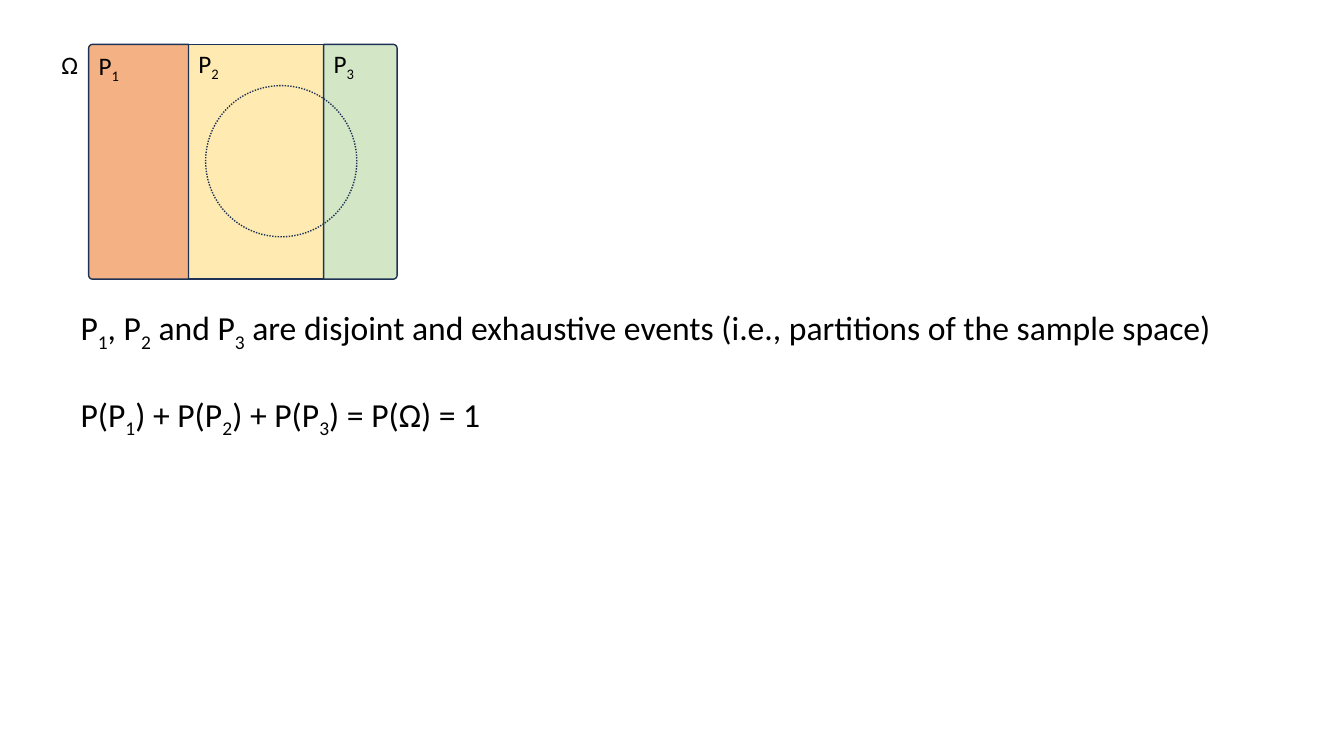
from dataclasses import dataclass
from math import cos, pi, sin
from typing import Optional

from lxml.etree import SubElement
from pptx import Presentation
from pptx.dml.color import RGBColor
from pptx.enum.dml import MSO_LINE_DASH_STYLE as Dash
from pptx.enum.shapes import MSO_SHAPE as ShapeKind
from pptx.enum.text import MSO_AUTO_SIZE as AutoSize
from pptx.oxml.ns import qn
from pptx.util import Inches, Pt

WIDTH, HEIGHT = Inches(13.33), Inches(7.5)
BLACK = RGBColor(0x00, 0x00, 0x00)
NAVY = RGBColor(0x1E, 0x32, 0x56)
ORANGE = RGBColor(0xF4, 0xB1, 0x83)
YELLOW = RGBColor(0xFF, 0xD9, 0x66)
GREEN = RGBColor(0xA9, 0xD1, 0x8E)

# Vertical extent of the sample space, in percent of the slide height
TOP, BOTTOM = 5.87, 36.93
CORNER = Inches(0.04)
CORNER_STEPS = 6


@dataclass
class Partition:
    """A strip of the sample space; left and right in percent of the width."""
    label: str
    left: float
    right: float
    color: RGBColor
    label_top: float
    opacity: int = 100
    rounded_side: int = 0  # -1 left, 1 right, 0 none


P1 = Partition("P_1", 6.6, 14.03, ORANGE, 6.0, rounded_side=-1)
P2 = Partition("P_2", 14.03, 24.08, YELLOW, 5.73, opacity=50)
P3 = Partition("P_3", 24.08, 29.55, GREEN, 5.73, opacity=50, rounded_side=1)


def across(percent: float) -> int:
    return round(WIDTH * percent / 100)


def down(percent: float) -> int:
    return round(HEIGHT * percent / 100)


def place(left: float, top: float, width: float, height: float) -> tuple:
    return across(left), down(top), across(width), down(height)


def style(shape, color: Optional[RGBColor] = None, opacity: int = 100,
          dash: Optional[Dash] = None) -> None:
    shape.shadow.inherit = False
    shape.line.color.rgb = NAVY
    shape.line.width = Pt(1)
    if dash is not None:
        shape.line.dash_style = dash
    if color is None:
        shape.fill.background()
        return
    shape.fill.solid()
    shape.fill.fore_color.rgb = color
    if opacity < 100:
        color_element = shape._element.spPr.find(qn("a:solidFill"))[0]
        SubElement(color_element, qn("a:alpha"), val=str(opacity * 1000))


def add_partition(slide, part: Partition) -> None:
    if part.rounded_side == 0:
        box = place(part.left, TOP, part.right - part.left, BOTTOM - TOP)
        shape = slide.shapes.add_shape(ShapeKind.RECTANGLE, *box)
    else:
        side = part.rounded_side
        inner, outer = part.left, part.right
        if side < 0:
            inner, outer = outer, inner
        center = across(outer) - side * CORNER
        angles = [pi / 2 * step / CORNER_STEPS for step in range(CORNER_STEPS + 1)]
        # Quarter arcs: top corner, then the bottom corner in mirror order
        points = [(center + side * CORNER * sin(angle),
                   down(TOP) + CORNER * (1 - cos(angle))) for angle in angles]
        points += [(x, down(TOP) + down(BOTTOM) - y) for x, y in reversed(points)]
        points.append((across(inner), down(BOTTOM)))
        builder = slide.shapes.build_freeform(across(inner), down(TOP))
        builder.add_line_segments(points, close=True)
        shape = builder.convert_to_shape()
    style(shape, part.color, part.opacity)


def add_text(slide, text: str, *, box: tuple, size: int = 18,
             wrap: bool = False, gap: int = 0) -> None:
    """Write one paragraph a line; the character after "_" is a subscript."""
    frame = slide.shapes.add_textbox(*place(*box)).text_frame
    frame.word_wrap = wrap
    frame.auto_size = AutoSize.SHAPE_TO_FIT_TEXT
    for index, line in enumerate(text.split("\n")):
        paragraph = frame.add_paragraph() if index else frame.paragraphs[0]
        if index:
            paragraph.space_before = Pt(gap)
        first, *others = line.split("_")
        pieces = [(first, False)]
        for other in others:
            pieces += [(other[0], True), (other[1:], False)]
        for piece, subscript in pieces:
            if not piece:
                continue
            run = paragraph.add_run()
            run.text = piece
            run.font.name = "Calibri"
            run.font.size = Pt(size)
            run.font.color.rgb = BLACK
            if subscript:
                run._r.get_or_add_rPr().set("baseline", "-25000")


def main() -> None:
    presentation = Presentation()
    presentation.slide_width, presentation.slide_height = WIDTH, HEIGHT
    slide = presentation.slides.add_slide(presentation.slide_layouts[6])

    # Sample space with the event circle between its partitions
    add_partition(slide, P2)
    add_partition(slide, P3)
    circle = slide.shapes.add_shape(ShapeKind.OVAL, *place(15.3, 11.33, 11.25, 20))
    style(circle, dash=Dash.ROUND_DOT)
    add_partition(slide, P1)

    # Labels
    add_text(slide, "Ω", box=(3.83, 5.87, 2.78, 5.33))
    for part in (P1, P2, P3):
        add_text(slide, part.label, box=(part.left, part.label_top, 3.15, 5.33))

    # Statement and formula
    add_text(slide,
             "P_1, P_2 and P_3 are disjoint and exhaustive events "
             "(i.e., partitions of the sample space)\n"
             "P(P_1) + P(P_2) + P(P_3) = P(Ω) = 1",
             box=(5.25, 40, 86.8, 17.47), size=24, wrap=True, gap=29)

    presentation.save("out.pptx")


if __name__ == "__main__":
    main()
